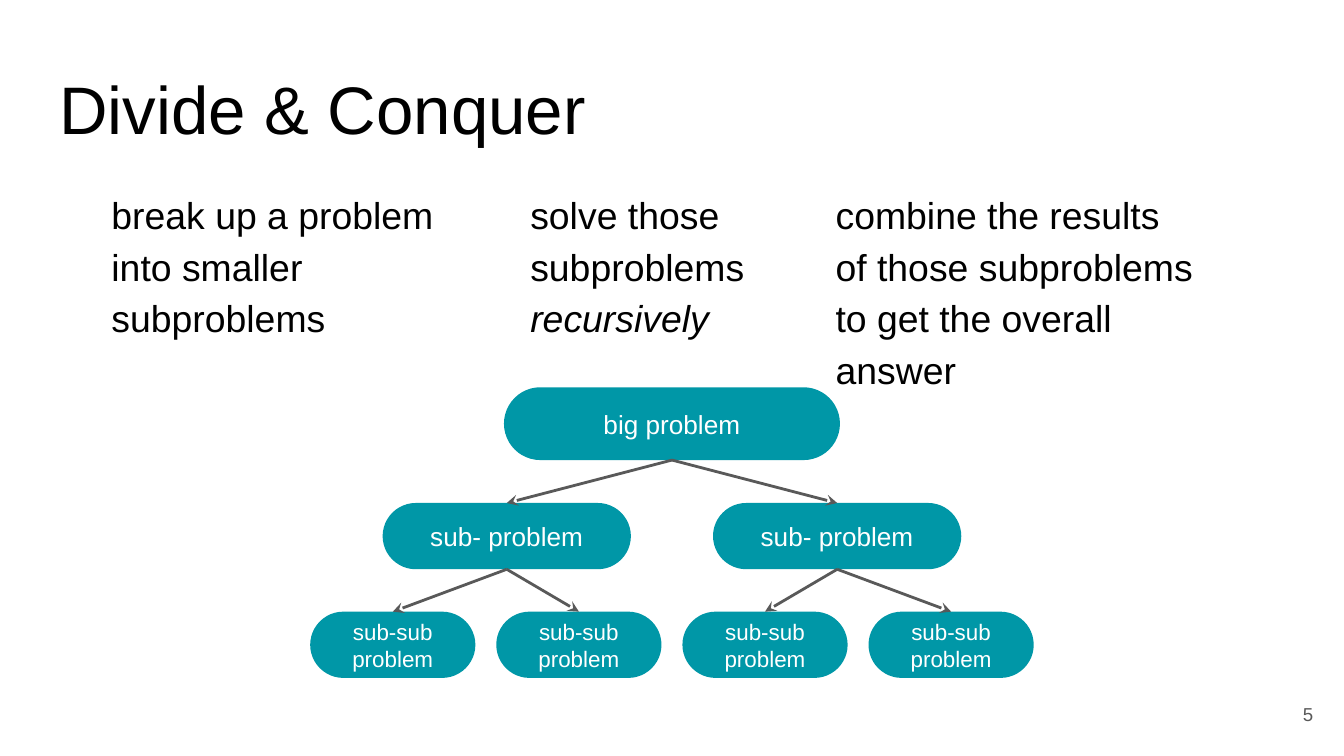
"""Build the Divide & Conquer slide with its tree of subproblems."""
from lxml import etree
from pptx import Presentation, util as u
from pptx.dml.color import RGBColor
from pptx.enum import shapes, text
from pptx.oxml import ns

COLORS = {"ink": "000000", "paper": "FFFFFF", "node": "0097A7", "gray": "595959"}
LEFT, CENTER, RIGHT = text.PP_ALIGN.LEFT, text.PP_ALIGN.CENTER, text.PP_ALIGN.RIGHT
TOP, MIDDLE = text.MSO_ANCHOR.TOP, text.MSO_ANCHOR.MIDDLE
SLIDE_CENTER = 360
LEVELS = [
    {"label": "big problem", "count": 1, "step": 0, "top": 207.5, "width": 180, "height": 39, "size": 14},
    {"label": "sub- problem", "count": 2, "step": 177, "top": 269.5, "width": 133, "height": 35.5, "size": 14},
    {"label": "sub-sub problem", "count": 4, "step": 99.7, "top": 327.7, "width": 88.5, "height": 35.5, "size": 12},
]
COLUMNS = [
    (52.6, 193.7, [("break up a problem into smaller subproblems", False)]),
    (277, 133.2, [("solve those subproblems ", False), ("recursively", True)]),
    (440.6, 208, [("combine the results of those subproblems to get the overall answer", False)]),
]


def rgb(name):
    return RGBColor.from_string(COLORS[name])


def apply_format(target, values):
    for name, value in values.items():
        setattr(target, name, value)


def write_text(shape, runs, size, color, align=LEFT, anchor=MIDDLE, spacing=1.0):
    frame = shape.text_frame
    margins = {f"margin_{side}": u.Pt(7.2) for side in ("left", "top", "right", "bottom")}
    apply_format(frame, {"word_wrap": True, "auto_size": text.MSO_AUTO_SIZE.NONE,
                         "vertical_anchor": anchor, **margins})
    paragraph = frame.paragraphs[0]
    apply_format(paragraph, {"alignment": align, "line_spacing": spacing})
    for words, italic in runs:
        run = paragraph.add_run()
        run.text = words
        apply_format(run.font, {"name": "Arial", "size": u.Pt(size), "italic": italic})
        run.font.color.rgb = rgb(color)


def add_title(slide, words):
    title = slide.shapes.title
    apply_format(title, {"left": u.Pt(24.5), "top": u.Pt(32), "width": u.Pt(671), "height": u.Pt(51)})
    write_text(title, [(words, False)], 36, "ink")


def add_label(slide, box, runs, size, color, **layout):
    shape = slide.shapes.add_textbox(*map(u.Pt, box))
    write_text(shape, runs, size, color, **layout)


def add_node(slide, level, center):
    box = (center - level["width"] / 2, level["top"], level["width"], level["height"])
    node = slide.shapes.add_shape(shapes.MSO_SHAPE.ROUNDED_RECTANGLE, *map(u.Pt, box))
    node.adjustments[0] = 0.5
    node.shadow.inherit = False
    node.fill.solid()
    node.fill.fore_color.rgb = rgb("node")
    node.line.fill.background()
    write_text(node, [(level["label"], False)], level["size"], "paper", align=CENTER)
    return node


def add_arrow(slide, parent, child):
    arrow = slide.shapes.add_connector(shapes.MSO_CONNECTOR.STRAIGHT, 0, 0, 0, 0)
    arrow.begin_connect(parent, 2)
    arrow.end_connect(child, 0)
    arrow.line.width = u.Pt(1.5)
    arrow.line.color.rgb = rgb("gray")
    etree.SubElement(arrow.line._get_or_add_ln(), ns.qn("a:tailEnd"), type="stealth")
    etree.SubElement(arrow._element.spPr, ns.qn("a:effectLst"))


def add_tree(slide):
    rows = []
    for level in LEVELS:
        first = SLIDE_CENTER - level["step"] * (level["count"] - 1) / 2
        rows.append([add_node(slide, level, first + i * level["step"]) for i in range(level["count"])])
    for parents, children in zip(rows, rows[1:]):
        for i, child in enumerate(children):
            add_arrow(slide, parents[i // 2], child)


def main():
    presentation = Presentation()
    apply_format(presentation, {"slide_width": u.Pt(720), "slide_height": u.Pt(405)})
    slide = presentation.slides.add_slide(presentation.slide_layouts[5])
    add_title(slide, "Divide & Conquer")
    add_tree(slide)
    add_label(slide, (667.4, 367.2, 43.2, 31), [("5", False)], 10, "gray", align=RIGHT)
    for left, width, runs in COLUMNS:
        add_label(slide, (left, 92.2, width, 101), runs, 20, "ink", anchor=TOP, spacing=1.15)
    presentation.save("out.pptx")


if __name__ == "__main__":
    main()
